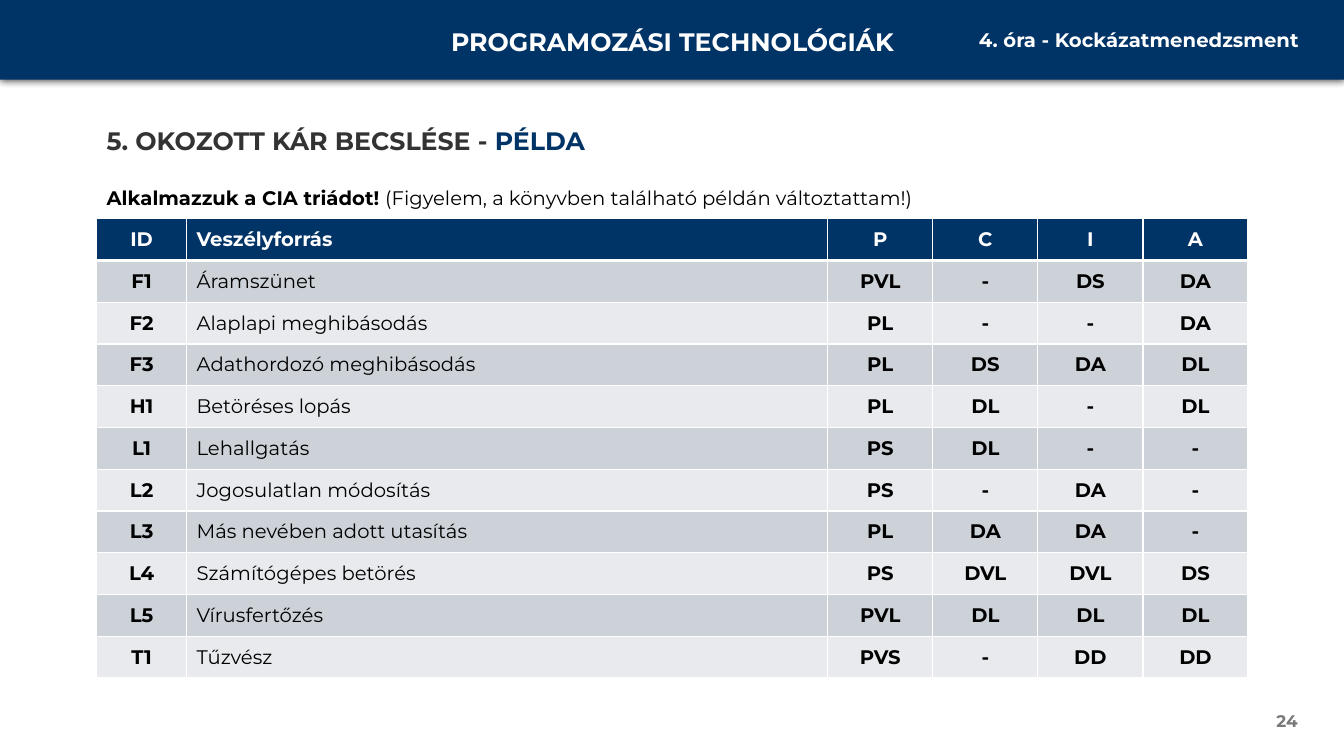
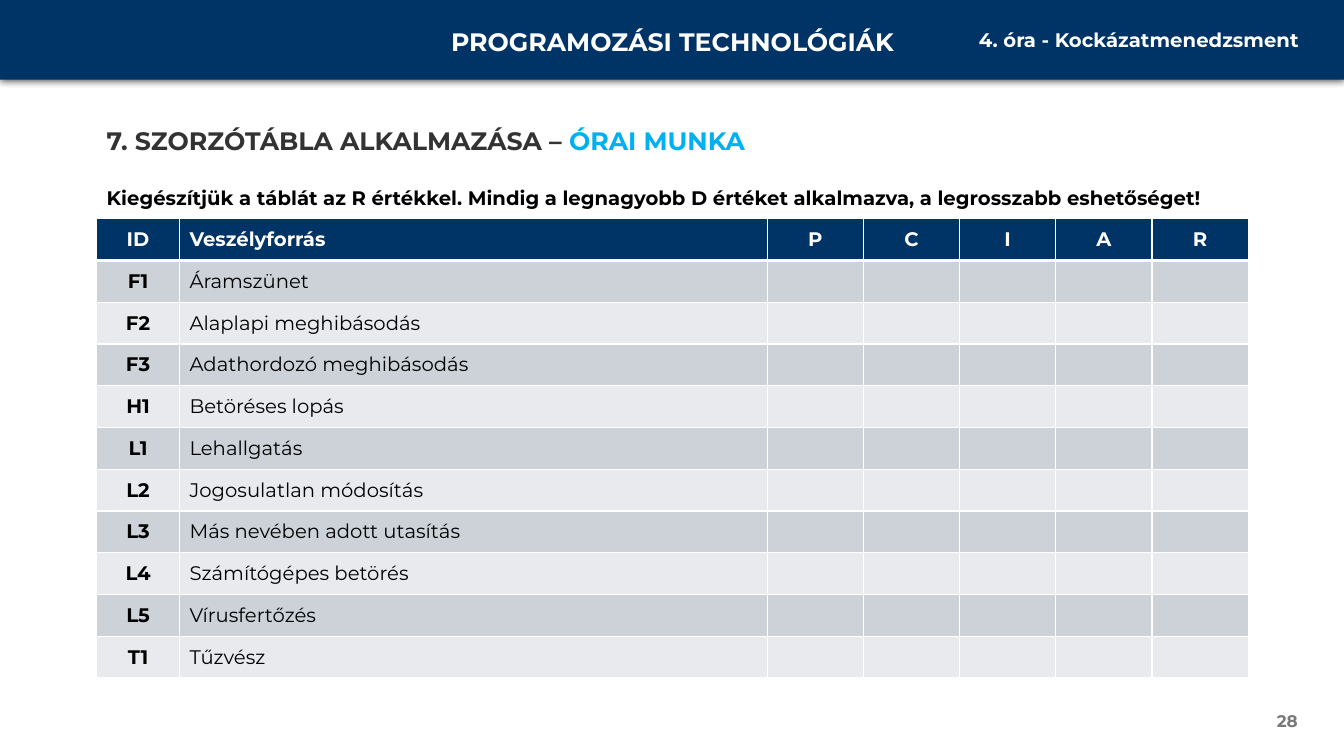
import dataclasses
import typing

import lxml.etree
import pptx
import pptx.dml.color
import pptx.enum.shapes
import pptx.enum.text
import pptx.oxml.ns
import pptx.util

Inches = pptx.util.Inches
Pt = pptx.util.Pt
Align = pptx.enum.text.PP_ALIGN
Anchor = pptx.enum.text.MSO_ANCHOR
AutoSize = pptx.enum.text.MSO_AUTO_SIZE


@dataclasses.dataclass(frozen=True)
class Theme:
    font: str = "Montserrat"
    navy: str = "003366"
    sky: str = "00B0F0"
    white: str = "FFFFFF"
    black: str = "000000"
    heading: str = "333333"
    number: str = "797979"
    band_dark: str = "CCD2D8"
    band_light: str = "E8EAED"
    title_size: int = 18
    body_size: int = 14
    number_size: int = 12


THEME = Theme()
LEFT = 0.96
TABLE_TOP, TABLE_WIDTH, TABLE_HEIGHT = 2.17, 11.42, 4.56


class Span(typing.NamedTuple):
    text: str
    color: str
    size: int = THEME.body_size
    bold: bool = True


class Area(typing.NamedTuple):
    left: float
    top: float
    width: float
    height: float

    def lengths(self) -> list[int]:
        return [Inches(value) for value in self]


@dataclasses.dataclass(frozen=True)
class Lesson:
    number: int
    title: str
    accent: str
    accent_color: str
    title_width: float
    caption: list[Span]
    caption_width: float
    lead_widths: tuple[float, float]
    ratings: str
    values: dict[str, str]


THREATS = {
    "F1": "Áramszünet",
    "F2": "Alaplapi meghibásodás",
    "F3": "Adathordozó meghibásodás",
    "H1": "Betöréses lopás",
    "L1": "Lehallgatás",
    "L2": "Jogosulatlan módosítás",
    "L3": "Más nevében adott utasítás",
    "L4": "Számítógépes betörés",
    "L5": "Vírusfertőzés",
    "T1": "Tűzvész",
}

LESSONS = [
    Lesson(
        24, "5. OKOZOTT KÁR BECSLÉSE - ", "PÉLDA", THEME.navy, 8.32,
        [Span("Alkalmazzuk a CIA triádot! ", THEME.black),
         Span("(Figyelem, a könyvben található példán változtattam!)",
              THEME.black, bold=False)],
        12.13, (0.89, 6.36), "PCIA",
        {"F1": "PVL - DS DA", "F2": "PL - - DA", "F3": "PL DS DA DL",
         "H1": "PL DL - DL", "L1": "PS DL - -", "L2": "PS - DA -",
         "L3": "PL DA DA -", "L4": "PS DVL DVL DS", "L5": "PVL DL DL DL",
         "T1": "PVS - DD DD"},
    ),
    Lesson(
        28, "7. SZORZÓTÁBLA ALKALMAZÁSA – ", "ÓRAI MUNKA", THEME.sky, 11.42,
        [Span("Kiegészítjük a táblát az R értékkel. Mindig a legnagyobb D értéket "
              "alkalmazva, a legrosszabb eshetőséget!", THEME.black)],
        11.42, (0.82, 5.83), "PCIAR", {},
    ),
]


def rgb(color: str) -> pptx.dml.color.RGBColor:
    return pptx.dml.color.RGBColor.from_string(color)


def add_element(parent, tag: str, **attributes: str):
    """Append a DrawingML element to its parent."""
    child = lxml.etree.SubElement(parent, pptx.oxml.ns.qn(tag))
    for name, value in attributes.items():
        child.set(name, value)
    return child


def write_spans(para, spans: list[Span]) -> None:
    for span in spans:
        run = para.add_run()
        run.text = span.text
        formats = {"name": THEME.font, "size": Pt(span.size), "bold": span.bold}
        for name, value in formats.items():
            setattr(run.font, name, value)
        run.font.color.rgb = rgb(span.color)


def add_text(page, area: Area, spans: list[Span], align=Align.LEFT,
             anchor=Anchor.TOP, auto_size=AutoSize.SHAPE_TO_FIT_TEXT,
             line_spacing: float = 1.0) -> None:
    frame = page.shapes.add_textbox(*area.lengths()).text_frame
    para = frame.paragraphs[0]
    frame_formats = {"word_wrap": True, "auto_size": auto_size,
                     "vertical_anchor": anchor}
    para_formats = {"alignment": align, "line_spacing": line_spacing}
    for target, formats in ((frame, frame_formats), (para, para_formats)):
        for name, value in formats.items():
            setattr(target, name, value)
    write_spans(para, spans)


def add_header(page) -> None:
    # Band with a soft shadow
    band = page.shapes.add_shape(pptx.enum.shapes.MSO_SHAPE.RECTANGLE,
                                 *Area(0, 0, 13.33, 0.79).lengths())
    band.fill.solid()
    band.fill.fore_color.rgb = rgb(THEME.navy)
    band.line.fill.background()
    band.shadow.inherit = False
    effects = band._element.spPr.find(pptx.oxml.ns.qn("a:effectLst"))
    shadow = add_element(effects, "a:outerShdw", blurRad=str(Pt(6)), dist="0",
                         dir="5400000", algn="t", rotWithShape="0")
    color = add_element(shadow, "a:srgbClr", val=THEME.black)
    add_element(color, "a:alpha", val="80000")

    # Course and lesson names
    add_text(page, Area(4.06, 0.21, 5.22, 0.4),
             [Span("PROGRAMOZÁSI TECHNOLÓGIÁK", THEME.white, THEME.title_size)],
             Align.CENTER)
    add_text(page, Area(9.37, 0.23, 3.61, 0.34),
             [Span("4. óra - Kockázatmenedzsment", THEME.white)], Align.RIGHT)


def set_borders(cell, top: int, bottom: int) -> None:
    properties = cell._tc.get_or_add_tcPr()
    for side, width in {"L": 1, "R": 1, "T": top, "B": bottom}.items():
        line = add_element(properties, f"a:ln{side}", w=str(Pt(width)))
        fill = add_element(line, "a:solidFill")
        add_element(fill, "a:srgbClr", val=THEME.white)


def add_threat_table(page, lesson: Lesson) -> None:
    count = len(lesson.ratings)
    rows = [["ID", "Veszélyforrás", *lesson.ratings]]
    for key, threat in THREATS.items():
        values = lesson.values[key].split() if lesson.values else [""] * count
        rows.append([key, threat, *values])

    area = Area(LEFT, TABLE_TOP, TABLE_WIDTH, TABLE_HEIGHT)
    table = page.shapes.add_table(len(rows), count + 2, *area.lengths()).table
    table.horz_banding = False

    # Rating columns share the remaining width
    rating_width = (TABLE_WIDTH - sum(lesson.lead_widths)) / count
    widths = [*lesson.lead_widths, *[rating_width] * count]
    for column, width in zip(table.columns, widths):
        column.width = Inches(width)

    for row_index, row in enumerate(rows):
        is_header = row_index == 0
        band = THEME.band_dark if row_index % 2 else THEME.band_light
        for column_index, text in enumerate(row):
            is_threat = column_index == 1
            cell = table.cell(row_index, column_index)
            set_borders(cell, top=3 if row_index == 1 else 1,
                        bottom=3 if is_header else 1)
            cell.fill.solid()
            cell.fill.fore_color.rgb = rgb(THEME.navy if is_header else band)
            cell.vertical_anchor = Anchor.MIDDLE
            para = cell.text_frame.paragraphs[0]
            para.alignment = Align.LEFT if is_threat else Align.CENTER
            if text:
                color = THEME.white if is_header else THEME.black
                write_spans(para, [Span(text, color, bold=is_header or not is_threat)])


def add_lesson(deck, lesson: Lesson) -> None:
    page = deck.slides.add_slide(deck.slide_layouts[6])
    add_header(page)
    # Title, page number and caption
    add_text(page, Area(LEFT, 1.19, lesson.title_width, 0.4),
             [Span(lesson.title, THEME.heading, THEME.title_size),
              Span(lesson.accent, lesson.accent_color, THEME.title_size)])
    add_text(page, Area(9.97, 6.95, 3, 0.4),
             [Span(str(lesson.number), THEME.number, THEME.number_size)],
             Align.RIGHT, Anchor.MIDDLE, AutoSize.NONE)
    add_text(page, Area(LEFT, 1.82, lesson.caption_width, 5.13), lesson.caption,
             auto_size=AutoSize.NONE, line_spacing=0.9)
    add_threat_table(page, lesson)


def main() -> None:
    deck = pptx.Presentation()
    deck.slide_width, deck.slide_height = Inches(13.33), Inches(7.5)
    for lesson in LESSONS:
        add_lesson(deck, lesson)
    deck.save("out.pptx")


if __name__ == "__main__":
    main()
